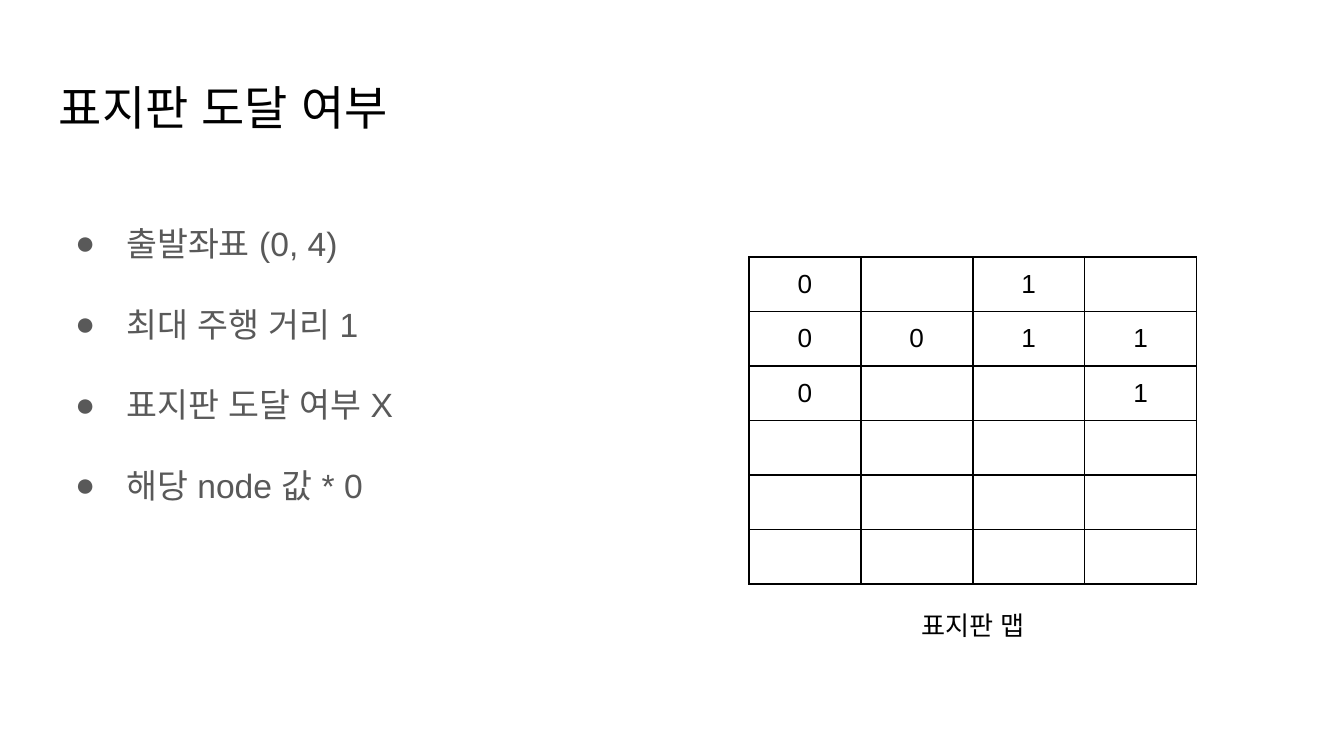
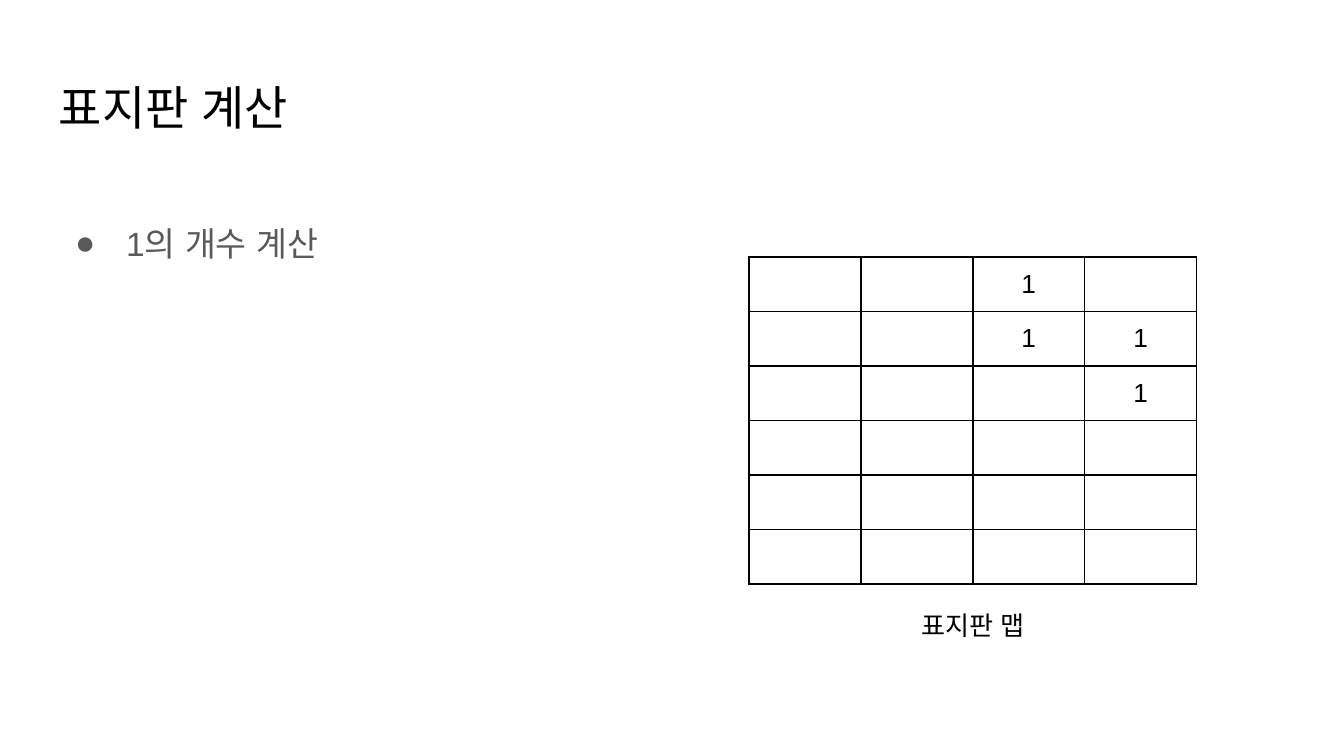
from pptx import Presentation
from pptx.dml.color import RGBColor
from pptx.enum.text import MSO_ANCHOR, MSO_AUTO_SIZE, PP_ALIGN
from pptx.oxml.ns import qn
from pptx.util import Inches, Pt
from lxml.etree import SubElement

BLACK = RGBColor(0x00, 0x00, 0x00)
GRAY = RGBColor(0x59, 0x59, 0x59)
WHITE = RGBColor(0xFF, 0xFF, 0xFF)
FONT = "Arial"

ROWS, COLUMNS = 6, 4

# Title, bullets and the signpost map as {(row, column): value}
SLIDES = [
    (
        "표지판 도달 여부",
        ["출발좌표 (0, 4)", "최대 주행 거리 1", "표지판 도달 여부 X", "해당 node 값 * 0"],
        {(0, 0): "0", (0, 2): "1", (1, 0): "0", (1, 1): "0",
         (1, 2): "1", (1, 3): "1", (2, 0): "0", (2, 3): "1"},
    ),
    (
        "표지판 계산",
        ["1의 개수 계산"],
        {(0, 2): "1", (1, 2): "1", (1, 3): "1", (2, 3): "1"},
    ),
]

presentation = Presentation()
presentation.slide_width = Inches(10)
presentation.slide_height = presentation.slide_width * 9 // 16
UNIT = presentation.slide_width / 100  # one percent of the slide width


def box(left, top, width, height):
    return [round(UNIT * length) for length in (left, top, width, height)]


def style(paragraph, size, color, alignment=PP_ALIGN.LEFT):
    paragraph.alignment = alignment
    paragraph.font.size = Pt(size)
    paragraph.font.name = FONT
    paragraph.font.color.rgb = color
    # Korean text and its spaces use the same font
    defaults = paragraph._p.get_or_add_pPr().find(qn("a:defRPr"))
    for script in ("a:ea", "a:cs"):
        SubElement(defaults, qn(script), typeface=FONT)


for title, bullets, signposts in SLIDES:
    slide = presentation.slides.add_slide(presentation.slide_layouts[6])

    # Title
    frame = slide.shapes.add_textbox(*box(3.41, 4.87, 93.18, 6.26)).text_frame
    frame.word_wrap = True
    frame.margin_top = frame.margin_bottom = Inches(0.1)
    frame.text = title
    style(frame.paragraphs[0], 25.2, BLACK)

    # Bullets in a two-column body
    frame = slide.shapes.add_textbox(*box(3.41, 12.6, 93.18, 37.36)).text_frame
    frame.word_wrap = True
    frame.margin_top = frame.margin_bottom = Inches(0.1)
    frame._txBody.bodyPr.set("numCol", "2")
    frame.text = "\n".join(bullets)
    for paragraph in frame.paragraphs:
        properties = paragraph._p.get_or_add_pPr()
        properties.set("marL", str(Inches(0.5)))
        properties.set("indent", str(-Inches(0.38)))
        bullet_color = SubElement(properties, qn("a:buClr"))
        SubElement(bullet_color, qn("a:srgbClr"), val=str(GRAY))
        SubElement(properties, qn("a:buFont"), typeface=FONT)
        SubElement(properties, qn("a:buChar"), char="●")
        paragraph.line_spacing = 2.0
        style(paragraph, 18, GRAY)

    # Signpost map
    table = slide.shapes.add_table(ROWS, COLUMNS, *box(55.72, 19.13, 33.32, 24.34)).table
    table.first_row = table.horz_banding = False
    for row in range(ROWS):
        for column in range(COLUMNS):
            cell = table.cell(row, column)
            cell.text = signposts.get((row, column), "")
            cell.vertical_anchor = MSO_ANCHOR.MIDDLE
            style(cell.text_frame.paragraphs[0], 14, BLACK, PP_ALIGN.CENTER)
            properties = cell._tc.get_or_add_tcPr()
            for side in ("a:lnL", "a:lnR", "a:lnT", "a:lnB"):
                border = SubElement(properties, qn(side), w=str(Pt(1)))
                border_fill = SubElement(border, qn("a:solidFill"))
                SubElement(border_fill, qn("a:srgbClr"), val=str(BLACK))
            cell.fill.solid()
            cell.fill.fore_color.rgb = WHITE

    # Map caption
    frame = slide.shapes.add_textbox(*box(57.45, 44.85, 29.9, 3.4)).text_frame
    frame.word_wrap = True
    frame.auto_size = MSO_AUTO_SIZE.SHAPE_TO_FIT_TEXT
    frame.text = "표지판 맵"
    style(frame.paragraphs[0], 14, BLACK, PP_ALIGN.CENTER)

presentation.save("out.pptx")
